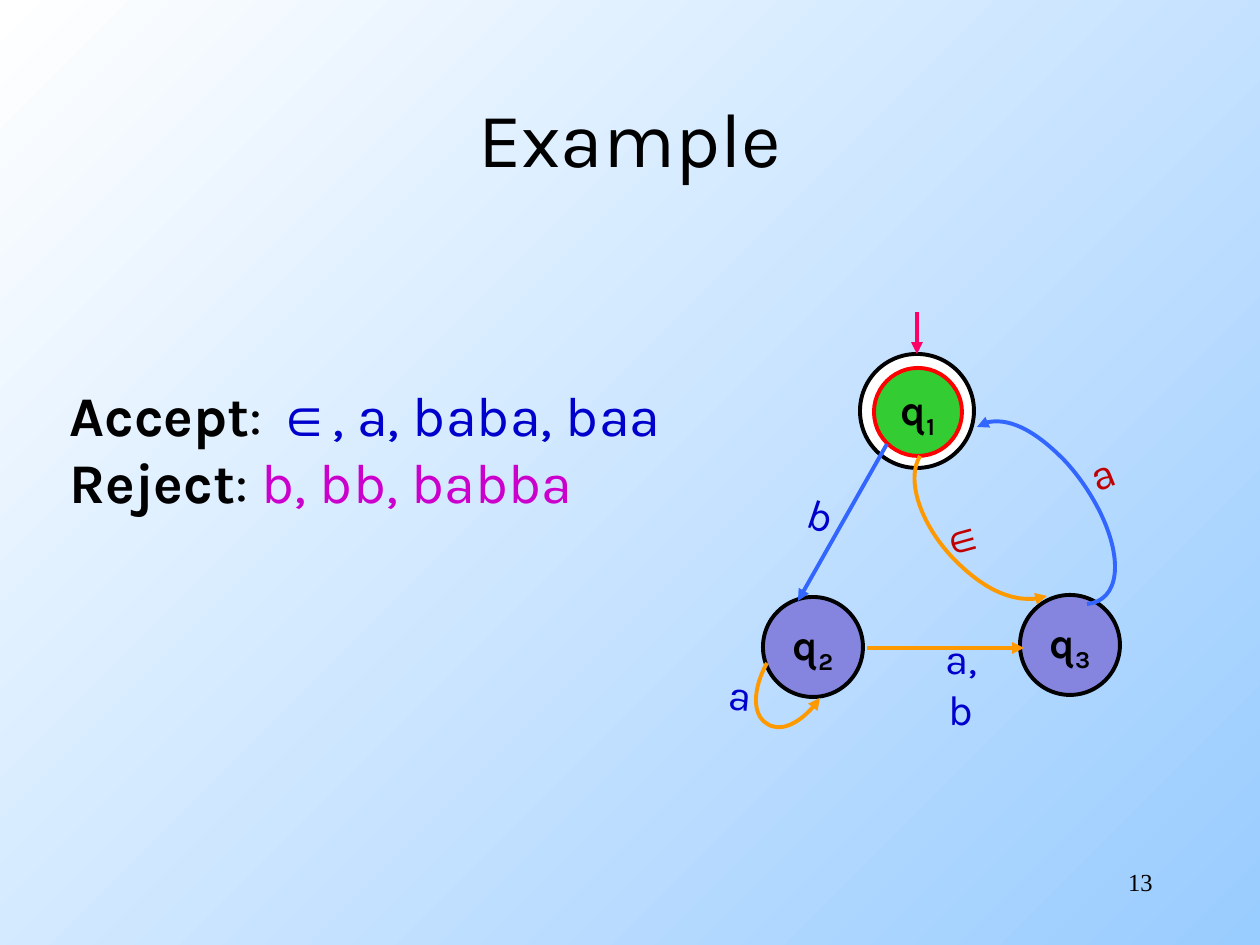
from dataclasses import dataclass

from lxml import etree
from pptx import Presentation, util as u
from pptx.dml.color import RGBColor
from pptx.enum import shapes, text
from pptx.oxml.ns import qn

SCALE = 914400 / 126


@dataclass(frozen=True)
class Theme:
    font: str = "Karla"
    math: str = "Arial"
    serif: str = "Times New Roman"
    black: str = "000000"
    white: str = "FFFFFF"
    sky: str = "99CCFF"
    navy: str = "0000CC"
    plum: str = "CC00CC"
    brick: str = "C00000"
    red: str = "FF0000"
    green: str = "33CC33"
    violet: str = "8585E0"
    pink: str = "FF0066"
    blue: str = "3366FF"
    amber: str = "FF9900"
    head: int = 44
    body: int = 32
    label: int = 24
    small: int = 14
    line: float = 2.25


T = Theme()
ALIGN = text.PP_ALIGN
ANCHOR = text.MSO_ANCHOR


def px(n):
    return u.Emu(round(n * SCALE))


def rgb(code):
    return RGBColor.from_string(code)


def add_run(para, words, size, color=T.black, bold=False, font=T.font, sub=False):
    run = para.add_run()
    run.text = words
    run.font.size = u.Pt(size)
    run.font.name = font
    run.font.bold = bold
    run.font.color.rgb = rgb(color)
    if sub:
        run.font._element.set("baseline", "-25000")


def set_frame(frame, align, anchor, wrap):
    frame.word_wrap = wrap
    frame.vertical_anchor = anchor
    para = frame.paragraphs[0]
    para.alignment = align
    return para


def add_text(slide, box, align=ALIGN.CENTER, anchor=ANCHOR.MIDDLE, wrap=False):
    shape = slide.shapes.add_textbox(*map(px, box))
    return shape, set_frame(shape.text_frame, align, anchor, wrap)


def add_tip(line, end):
    kind = "tailEnd" if end == "end" else "headEnd"
    tip = etree.SubElement(line.line._get_or_add_ln(), qn("a:" + kind))
    tip.set("type", "triangle")


def add_state(slide, mid, rad, fill, edge, index=None):
    x, y = mid
    node = slide.shapes.add_shape(
        shapes.MSO_SHAPE.OVAL, px(x - rad), px(y - rad), px(2 * rad), px(2 * rad))
    node.shadow.inherit = False
    node.fill.solid()
    node.fill.fore_color.rgb = rgb(fill)
    node.line.color.rgb = rgb(edge)
    node.line.width = u.Pt(T.line)
    if index:
        para = set_frame(node.text_frame, ALIGN.CENTER, ANCHOR.MIDDLE, False)
        add_run(para, "q", T.label, bold=True)
        add_run(para, index, T.label, bold=True, sub=True)
    return node


def add_arrow(slide, start, end, color):
    line = slide.shapes.add_connector(
        shapes.MSO_CONNECTOR.STRAIGHT, *map(px, start + end))
    line.line.color.rgb = rgb(color)
    line.line.width = u.Pt(T.line)
    add_tip(line, "end")
    etree.SubElement(line._element.spPr, qn("a:effectLst"))
    return line


def add_curve(slide, points, color, tip="start"):
    pen = slide.shapes.build_freeform(*points[0], scale=SCALE)
    pen.add_line_segments(points[1:], close=False)
    curve = pen.convert_to_shape()
    curve.shadow.inherit = False
    curve.fill.background()
    curve.line.color.rgb = rgb(color)
    curve.line.width = u.Pt(T.line)
    add_tip(curve, tip)
    track = curve._element.find(".//" + qn("a:path"))
    steps = track.findall(qn("a:lnTo"))
    for i in range(0, len(steps), 3):
        bend = etree.SubElement(track, qn("a:cubicBezTo"))
        for step in steps[i:i + 3]:
            bend.append(step[0])
            track.remove(step)


def add_title(slide, box):
    _, para = add_text(slide, box, wrap=True)
    add_run(para, "Example", T.head)


def add_number(slide, box):
    _, para = add_text(slide, box, ALIGN.RIGHT, ANCHOR.TOP, True)
    add_run(para, "13", T.small, font=T.serif)


def add_words(slide, box):
    shape, para = add_text(slide, box, ALIGN.LEFT, ANCHOR.TOP)
    add_run(para, "Accept", T.body, bold=True)
    add_run(para, ": ", T.body)
    add_run(para, "∈", T.body, T.navy, font=T.math)
    add_run(para, ", a, baba, baa", T.body, T.navy)
    para = shape.text_frame.add_paragraph()
    para.alignment = ALIGN.LEFT
    add_run(para, "Reject", T.body, bold=True)
    add_run(para, ": ", T.body)
    add_run(para, "b, bb, babba", T.body, T.plum)


def add_machine(slide, box):
    left, top = box[:2]

    def at(x, y):
        return left + x, top + y

    add_state(slide, at(113, 347), 50, T.violet, T.black, "2")
    outer = add_state(slide, at(217, 111), 57, T.white, T.black)
    add_state(slide, at(218, 112), 44, T.green, T.red, "1")
    add_state(slide, at(370, 345), 50, T.violet, T.black, "3")

    entry = add_arrow(slide, at(217, 12), at(217, 54), T.pink)
    entry.end_connect(outer, 0)
    add_arrow(slide, at(187, 144), at(98, 301), T.blue)
    add_arrow(slide, at(167, 348), at(324, 348), T.amber)

    curves = [
        ([(277, 127), (295, 113), (332, 127), (365, 161), (379, 176),
          (391, 194), (400, 212), (424, 261), (419, 301), (387, 304)], T.blue),
        ([(347, 296), (322, 306), (283, 290), (251, 256),
          (220, 222), (206, 180), (220, 156)], T.amber),
        ([(120, 398), (104, 422), (79, 433), (66, 423),
          (52, 414), (53, 388), (67, 363)], T.amber),
    ]
    for points, color in curves:
        add_curve(slide, [at(*point) for point in points], color)

    labels = [
        ("∈", 261, 236, -15.3, T.brick, T.math),
        ("a", 402, 173, -22.4, T.brick, T.font),
        ("b", 122, 215, 18.5, T.navy, T.font),
        ("a", 41, 394, 5.6, T.navy, T.font),
        ("a, b", 261, 383, 0, T.navy, T.font),
    ]
    wide, high = 74, 42
    for words, x, y, turn, color, font in labels:
        spot = at(x - wide // 2, y - high // 2)
        shape, para = add_text(slide, spot + (wide, high))
        shape.rotation = turn
        add_run(para, words, T.label, color, font=font)


def main():
    deck = Presentation()
    deck.slide_width, deck.slide_height = px(1260), px(945)
    slide = deck.slides.add_slide(deck.slide_layouts[6])
    fill = slide.background.fill
    fill.gradient()
    fill.gradient_angle = 315
    for stop, color in zip(fill.gradient_stops, (T.white, T.sky)):
        stop.color.rgb = rgb(color)
    add_title(slide, (94, 84, 1072, 105))
    add_number(slide, (903, 861, 262, 63))
    add_machine(slide, (700, 300, 430, 440))
    add_words(slide, (57, 374, 634, 147))
    deck.save("out.pptx")


if __name__ == "__main__":
    main()
